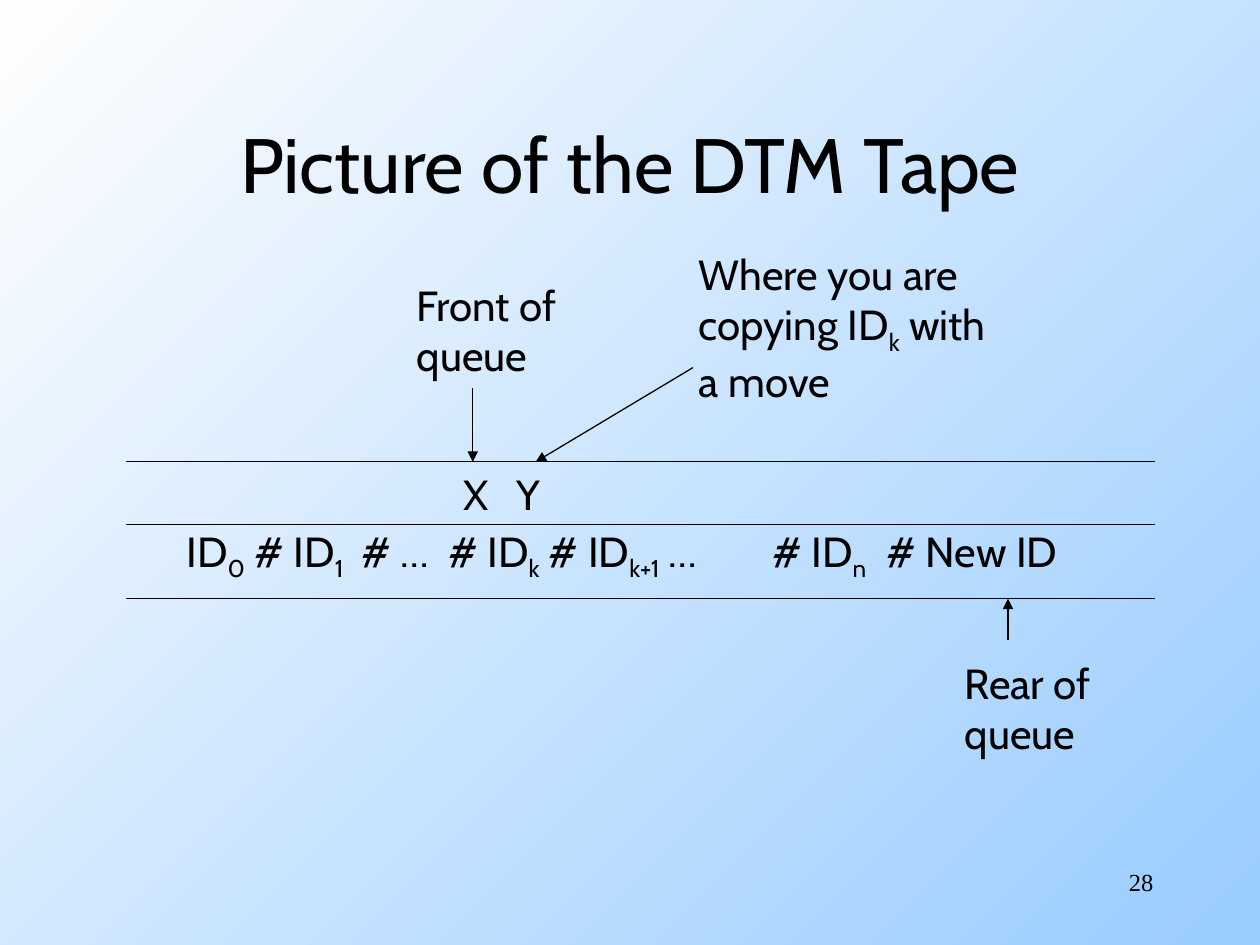
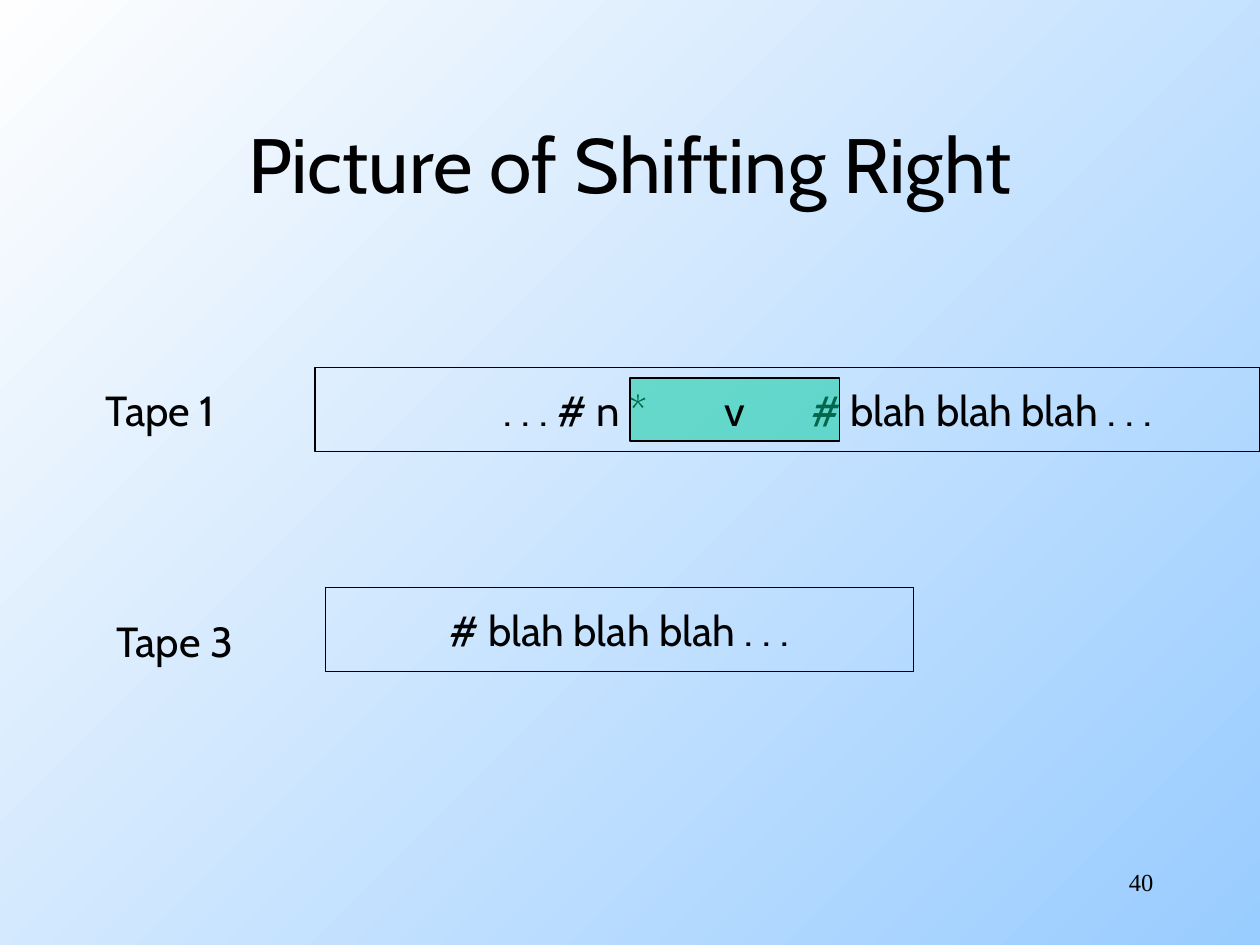
from pptx import Presentation
from pptx.dml.color import RGBColor
from pptx.enum.shapes import MSO_CONNECTOR, MSO_SHAPE
from pptx.enum.text import MSO_ANCHOR, PP_ALIGN
from pptx.oxml.ns import qn
from pptx.util import Cm, Pt
from lxml import etree

STRAIGHT = MSO_CONNECTOR.STRAIGHT
RECTANGLE = MSO_SHAPE.RECTANGLE
TOP, MIDDLE = MSO_ANCHOR.TOP, MSO_ANCHOR.MIDDLE
LEFT, CENTER, RIGHT = PP_ALIGN.LEFT, PP_ALIGN.CENTER, PP_ALIGN.RIGHT

INK = "000000"
SKY = "99CCFF"
PALE = "FEFEFE"
WINDOW_GREEN = "00CC99"
LINE_WIDTH = Pt(0.75)
BODY = {"name": "Cabin", "size": Pt(24)}
TITLE = {"name": "Cabin", "size": Pt(44)}
NUMBER = {"name": "Times New Roman", "size": Pt(14)}


def color(value):
    return RGBColor.from_string(value)


def write(shape, text, style=BODY, align=LEFT, anchor=TOP, tabs=()):
    """Fill a shape with text: one paragraph a line, subscripts between bars, tab stops in cm."""
    frame = shape.text_frame
    frame.word_wrap = True
    frame.vertical_anchor = anchor
    for index, line in enumerate(text.split("\n")):
        para = frame.add_paragraph() if index else frame.paragraphs[0]
        para.alignment = align
        if tabs:
            stops = etree.SubElement(para._p.get_or_add_pPr(), qn("a:tabLst"))
            for position in tabs:
                etree.SubElement(stops, qn("a:tab"), pos=str(Cm(position)), algn="l")
        for part, content in enumerate(line.split("|")):
            if not content:
                continue
            span = para.add_run()
            span.text = content
            for name, value in style.items():
                setattr(span.font, name, value)
            span.font.color.rgb = color(INK)
            if part % 2:
                span._r.get_or_add_rPr().set("baseline", "-25000")


deck = Presentation()
deck.slide_width, deck.slide_height = Cm(25.4), Cm(19.05)

# Shared background
backdrop = deck.slide_master.background.fill
backdrop.gradient()
backdrop.gradient_angle = 135
for stop, shade in zip(backdrop.gradient_stops, (SKY, PALE)):
    stop.color.rgb = color(shade)

# Shared title and slide number
pages = []
for heading, number in [("Picture of the DTM Tape", "28"), ("Picture of Shifting Right", "40")]:
    page = deck.slides.add_slide(deck.slide_layouts[6])
    title = page.shapes.add_textbox(Cm(1.9), Cm(1.7), Cm(21.6), Cm(3.18))
    write(title, heading, TITLE, CENTER, MIDDLE)
    footer = page.shapes.add_textbox(Cm(18.2), Cm(17.36), Cm(5.3), Cm(1.27))
    write(footer, number, NUMBER, RIGHT)
    pages.append(page)
dtm_page, shift_page = pages

# DTM tape: track lines, then pointers
TAPE_LEFT, TAPE_RIGHT = 2.54, 23.28
TAPE_TOP, TRACK_DIVIDE, TAPE_BOTTOM = 9.31, 10.58, 12.07
tracks = [(TAPE_LEFT, y, TAPE_RIGHT, y, False) for y in (TAPE_TOP, TRACK_DIVIDE, TAPE_BOTTOM)]
pointers = [
    (9.53, 7.82, 9.53, TAPE_TOP, True),
    (13.97, 7.41, 10.8, TAPE_TOP, True),
    (20.32, 12.9, 20.32, TAPE_BOTTOM, True),
]
for *ends, has_arrow in tracks + pointers:
    line = dtm_page.shapes.add_connector(STRAIGHT, *map(Cm, ends))
    line.line.color.rgb = color(INK)
    line.line.width = LINE_WIDTH
    if has_arrow:
        etree.SubElement(line.line._get_or_add_ln(), qn("a:tailEnd"), type="triangle")
    etree.SubElement(line._element.spPr, qn("a:effectLst"))

ids = dtm_page.shapes.add_textbox(Cm(3.51), Cm(10.46), Cm(19.6), Cm(1.42))
write(ids, "ID|0| # ID|1|\t# …\t# ID|k| # ID|k+1| …\t# ID|n|\t# New ID",
      tabs=(3.53, 5.28, 11.81, 14.12))

# Labels of both pages
labels = [
    (dtm_page, "X", 9.09, TAPE_TOP, 1.2, 1.27),
    (dtm_page, "Y", 10.16, TAPE_TOP, 1.2, 1.27),
    (dtm_page, "Front of\nqueue", 8.15, 5.51, 3.66, 2.29),
    (dtm_page, "Where you are\ncopying ID|k| with\na move", 13.84, 4.88, 7.19, 3.45),
    (dtm_page, "Rear of\nqueue", 19.2, 13.13, 3.35, 2.29),
    (shift_page, "Tape 1", 1.88, 7.62, 3.15, 1.27),
    (shift_page, "Tape 3", 2.09, 12.28, 3.15, 1.27),
]
for page, text, *place in labels:
    write(page.shapes.add_textbox(*map(Cm, place)), text)

# Shifting right: two tapes and the window over the first
boxes = []
for place in [(6.35, 7.41, 19.05, 1.69), (6.56, 11.85, 11.85, 1.69), (12.7, 7.62, 4.23, 1.27)]:
    box = shift_page.shapes.add_shape(RECTANGLE, *map(Cm, place))
    box.shadow.inherit = False
    box.fill.background()
    box.line.color.rgb = color(INK)
    box.line.width = LINE_WIDTH
    boxes.append(box)
tape_1, tape_3, window = boxes

tape_1.text_frame.margin_left = Cm(3.81)
write(tape_1, ". . . # n *\t# blah blah blah . . .", anchor=MIDDLE, tabs=(6.2,))
write(tape_3, "# blah blah blah . . .", align=CENTER, anchor=MIDDLE)
write(window, "v", align=CENTER, anchor=MIDDLE)

window.fill.solid()
window.fill.fore_color.rgb = color(WINDOW_GREEN)
tint = window._element.spPr.find(qn("a:solidFill")).find(qn("a:srgbClr"))
etree.SubElement(tint, qn("a:alpha"), val="50000")

deck.save("out.pptx")
